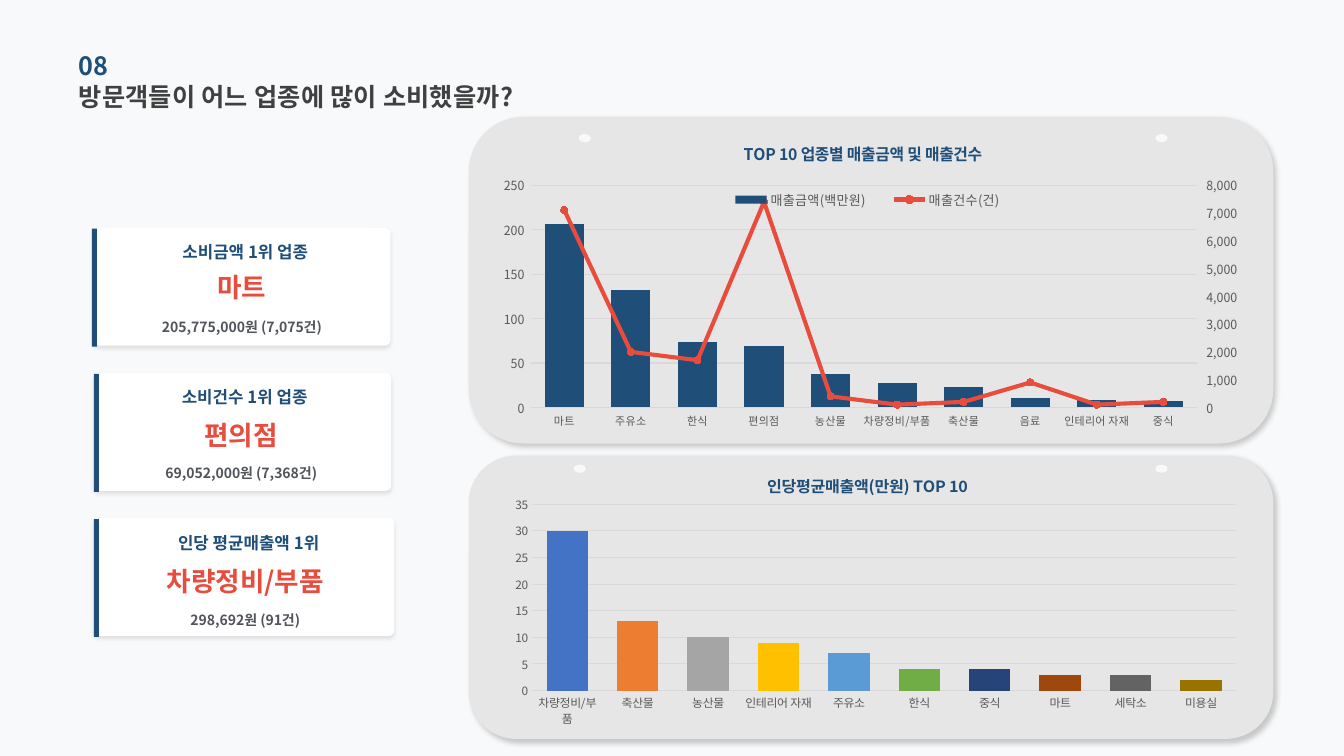
from copy import deepcopy
from dataclasses import dataclass

from lxml import etree
from pptx import Presentation
from pptx.chart.axis import ValueAxis
from pptx.chart.data import CategoryChartData
from pptx.dml.color import RGBColor
from pptx.enum.chart import XL_CHART_TYPE, XL_LEGEND_POSITION, XL_MARKER_STYLE, XL_TICK_MARK
from pptx.enum.shapes import MSO_SHAPE
from pptx.enum.text import MSO_ANCHOR, PP_ALIGN
from pptx.oxml import parse_xml
from pptx.oxml.ns import nsdecls, qn
from pptx.util import Inches, Pt

COLUMN = XL_CHART_TYPE.COLUMN_CLUSTERED
TICK_NONE, TICK_OUT = XL_TICK_MARK.NONE, XL_TICK_MARK.OUTSIDE
ROUND, RECT, OVAL = MSO_SHAPE.ROUNDED_RECTANGLE, MSO_SHAPE.RECTANGLE, MSO_SHAPE.OVAL
LEFT, CENTER = PP_ALIGN.LEFT, PP_ALIGN.CENTER
FONT = "Noto Sans CJK KR"
NAVY, RED, GRAY, RULE, PAPER = "1F4E79", "E74C3C", "595959", "D9D9D9", "F8F9FA"
W, H = Inches(13.33), Inches(7.5)


@dataclass
class Box:
    """Left, top, width and height in percent of the slide."""
    x: float
    y: float
    w: float
    h: float

    def emu(self) -> tuple:
        return int(W * self.x / 100), int(H * self.y / 100), int(W * self.w / 100), int(H * self.h / 100)


@dataclass
class Card:
    label: str
    winner: str
    detail: str
    bar_x: float
    width: float
    center: float
    winner_dy: float
    detail_dy: float


@dataclass
class Panel:
    box: Box
    chart: Box
    dots_x: tuple
    dots_y: float
    title: str
    title_at: tuple
    plot_at: tuple
    cats: list
    series: dict
    top: int
    step: int
    cat_size: float
    val_size: float
    fmt: str


CARDS = [
    Card("소비금액 1위 업종", "마트", "205,775,000원 (7,075건)", 6.83, 22.06, 18, 5.6, 11.95),
    Card("소비건수 1위 업종", "편의점", "69,052,000원 (7,368건)", 6.98, 22.13, 17.95, 5.95, 12.13),
    Card("인당 평균매출액 1위", "차량정비/부품", "298,692원 (91건)", 6.98, 22.36, 18.25, 6.1, 12.4),
]
SALES = Panel(
    Box(34.88, 15.47, 59.86, 43.2), Box(37.36, 16.53, 54.91, 42), (43.06, 85.97), 17.73,
    "TOP 10 업종별 매출금액 및 매출건수", (0.33, 0.04), (0.04, 0.19, 0.92, 0.7),
    ["마트", "주유소", "한식", "편의점", "농산물", "차량정비/부품", "축산물", "음료", "인테리어 자재", "중식"],
    {"매출금액(백만원)": [206, 132, 74, 69, 38, 27, 23, 11, 8, 7],
     "매출건수(건)": [7100, 2000, 1700, 7400, 400, 100, 200, 900, 100, 200]},
    250, 50, 8, 9, "#,##0_ ")
AVERAGE = Panel(
    Box(34.88, 60.27, 59.86, 37.47), Box(37.36, 60.53, 55.74, 35.6), (42.69, 85.97), 61.47,
    "인당평균매출액(만원) TOP 10", (0.35, 0.05), (0.04, 0.18, 0.94, 0.72),
    ["차량정비/부품", "축산물", "농산물", "인테리어 자재", "주유소", "한식", "중식", "마트", "세탁소", "미용실"],
    {"Series 1": [30, 13, 10, 9, 7, 4, 4, 3, 3, 2]},
    35, 5, 8.5, 8.5, "General")
BAR_COLORS = ["4472C4", "ED7D31", "A5A5A5", "FFC000", "5B9BD5",
              "70AD47", "264478", "9E480E", "636363", "997300"]


def paint(fill, color: str) -> None:
    fill.solid()
    fill.fore_color.rgb = RGBColor.from_string(color)


def style(font, size: float, color: str, bold: bool = False) -> None:
    font.name, font.size, font.bold = FONT, Pt(size), bold
    font.color.rgb = RGBColor.from_string(color)


def add_shape(shapes, kind, box: Box, color: str, shadow: tuple = ()):
    """Shadow is alpha %, blur pt, distance pt and angle."""
    sp = shapes.add_shape(kind, *box.emu())
    sp.shadow.inherit = False
    paint(sp.fill, color)
    sp.line.fill.background()
    if shadow:
        alpha, blur, dist, angle = shadow
        effects = sp._element.spPr.find(qn("a:effectLst"))
        effects.append(parse_xml(
            f'<a:outerShdw {nsdecls("a")} blurRad="{Pt(blur)}" dist="{Pt(dist)}" dir="{angle * 60000}" '
            f'algn="tl" rotWithShape="0"><a:srgbClr val="000000"><a:alpha val="{alpha * 1000}"/>'
            '</a:srgbClr></a:outerShdw>'))
    return sp


def write(sp, text: str, size: float, color: str, align=LEFT, spacing: int = 0) -> None:
    """Letter spacing is in hundredths of a point."""
    tf = sp.text_frame
    tf.word_wrap, tf.vertical_anchor = True, MSO_ANCHOR.MIDDLE
    tf.margin_left = tf.margin_right = tf.margin_top = tf.margin_bottom = 0
    p = tf.paragraphs[0]
    p.alignment = align
    r = p.add_run()
    r.text = text
    style(r.font, size, color, True)
    if spacing:
        r._r.get_or_add_rPr().set("spc", str(spacing))


def place(parent, index: int, at: tuple, inner: bool = False) -> None:
    """Fix a chart part at shares of the chart's size."""
    for old in parent.findall(qn("c:layout")):
        parent.remove(old)
    tags = ['<c:layoutTarget val="inner"/>'] if inner else []
    tags += [f'<c:{n}Mode val="edge"/>' for n in "xy"]
    tags += [f'<c:{n} val="{v}"/>' for n, v in zip("xywh", at)]
    parent.insert(index, parse_xml(
        f'<c:layout {nsdecls("c")}><c:manualLayout>{"".join(tags)}</c:manualLayout></c:layout>'))


def add_panel(s, panel: Panel):
    add_shape(s.shapes, ROUND, panel.box, "E7E6E6", (20, 4, 3, 45))
    data = CategoryChartData()
    data.categories = panel.cats
    for name, values in panel.series.items():
        data.add_series(name, values)
    chart = s.shapes.add_chart(COLUMN, *panel.chart.emu(), data).chart
    chart.has_legend = False
    chart.has_title = True
    title = chart.chart_title
    r = title.text_frame.paragraphs[0].add_run()
    r.text = panel.title
    style(r.font, 11.5, NAVY, True)
    place(title._element, 1, panel.title_at)
    plot = chart.plots[0]
    plot.gap_width, plot.overlap, plot.vary_by_categories = 70, -27, False
    place(chart._chartSpace.chart.plotArea, 0, panel.plot_at, True)

    # Axes
    cat, val = chart.category_axis, chart.value_axis
    for axis, size in ((cat, panel.cat_size), (val, panel.val_size)):
        axis.major_tick_mark = axis.minor_tick_mark = TICK_NONE
        style(axis.tick_labels.font, size, GRAY)
        # Automatic rotation keeps each label on one line
        axis._element.find(qn("c:txPr")).find(qn("a:bodyPr")).set("rot", "-60000000")
    for line in (cat.format.line, val.major_gridlines.format.line):
        paint(line.fill, RULE)
        line.width = Pt(0.75)
    val.format.line.fill.background()
    val.minimum_scale, val.maximum_scale, val.major_unit = 0, panel.top, panel.step
    val.tick_labels.number_format = panel.fmt
    val.tick_labels.number_format_is_linked = False

    for x in panel.dots_x:
        add_shape(s.shapes, OVAL, Box(x, panel.dots_y, 0.9, 1.07), PAPER)
    return chart


def add_count_line(chart) -> None:
    """Turn the second series into a line on a right-hand axis."""
    area = chart._chartSpace.chart.plotArea
    bars = area.find(qn("c:barChart"))
    ser = bars.findall(qn("c:ser"))[1]
    for tag in ser.findall(qn("c:invertIfNegative")):
        ser.remove(tag)
    line_chart = parse_xml(
        f'<c:lineChart {nsdecls("c")}><c:grouping val="standard"/><c:varyColors val="0"/>'
        '<c:marker val="1"/><c:axId val="5001"/><c:axId val="5002"/></c:lineChart>')
    line_chart.insert(2, ser)
    bars.addnext(line_chart)
    val, cat = area.find(qn("c:valAx")), area.find(qn("c:catAx"))
    right, hidden = deepcopy(val), deepcopy(cat)
    val.addnext(right)
    right.addnext(hidden)
    for axis, own, other in ((hidden, "5001", "5002"), (right, "5002", "5001")):
        axis.find(qn("c:axId")).set("val", own)
        axis.find(qn("c:crossAx")).set("val", other)
    hidden.find(qn("c:delete")).set("val", "1")
    right.find(qn("c:axPos")).set("val", "r")
    right.find(qn("c:crosses")).set("val", "max")
    axis = ValueAxis(right)
    axis.has_major_gridlines = False
    axis.major_tick_mark = TICK_OUT
    axis.maximum_scale, axis.major_unit = 8000, 1000

    counts = chart.plots[1].series[0]
    counts.smooth = False
    counts.format.line.width = Pt(3)
    counts.marker.style, counts.marker.size = XL_MARKER_STYLE.CIRCLE, 5
    for fill in (counts.format.line.fill, counts.marker.format.fill, counts.marker.format.line.fill):
        paint(fill, RED)


def add_card(s, card: Card, y: float) -> None:
    shapes = s.shapes.add_group_shape().shapes
    sp = add_shape(shapes, ROUND, Box(6.98, y, card.width, 15.6), "FFFFFF", (10, 3, 2, 90))
    sp.adjustments[0] = 0.048
    for text, size, color, center, width, dy, h in (
            (card.label, 12, NAVY, card.center + 0.25, 16, 1.75, 2.93),
            (card.winner, 19, RED, card.center, 22.4, card.winner_dy, 4.53),
            (card.detail, 10, "51545A", card.center, 22.4, card.detail_dy, 2.27)):
        box = Box(center - width / 2, y + dy, width, h)
        write(shapes.add_textbox(*box.emu()), text, size, color, CENTER)
    add_shape(s.shapes, RECT, Box(card.bar_x, y + 0.13, 0.38, 15.6), NAVY)


def add_east_asian(root) -> None:
    for latin in list(root.iter(qn("a:latin"))):
        ea = etree.Element(qn("a:ea"))
        ea.set("typeface", FONT)
        latin.addnext(ea)


def main() -> None:
    prs = Presentation()
    prs.slide_width, prs.slide_height = W, H
    s = prs.slides.add_slide(prs.slide_layouts[5])
    paint(s.background.fill, PAPER)

    # Heading
    title = s.shapes.title
    title.left, title.top, title.width, title.height = Box(5.85, 10, 33.9, 5.47).emu()
    write(title, "방문객들이 어느 업종에 많이 소비했을까?", 18, "404040", spacing=17)
    write(s.shapes.add_textbox(*Box(5.85, 5.87, 33.9, 5.47).emu()), "08", 18, NAVY)

    # Winner cards
    for i, card in enumerate(CARDS):
        add_card(s, card, 30.13 + 19.2 * i)

    # Sales amount and count
    sales = add_panel(s, SALES)
    add_count_line(sales)
    paint(sales.plots[0].series[0].format.fill, NAVY)
    sales.has_legend = True
    sales.legend.position = XL_LEGEND_POSITION.TOP
    sales.legend.include_in_layout = False
    style(sales.legend.font, 9.5, GRAY)
    place(sales.legend._element, 1, (0.29, 0.2, 0.43, 0.07))

    # Average sales per person
    average = add_panel(s, AVERAGE)
    for i, color in enumerate(BAR_COLORS):
        paint(average.plots[0].series[0].points[i].format.fill, color)

    for root in (s._element, sales._chartSpace, average._chartSpace):
        add_east_asian(root)
    prs.save("out.pptx")


if __name__ == "__main__":
    main()
